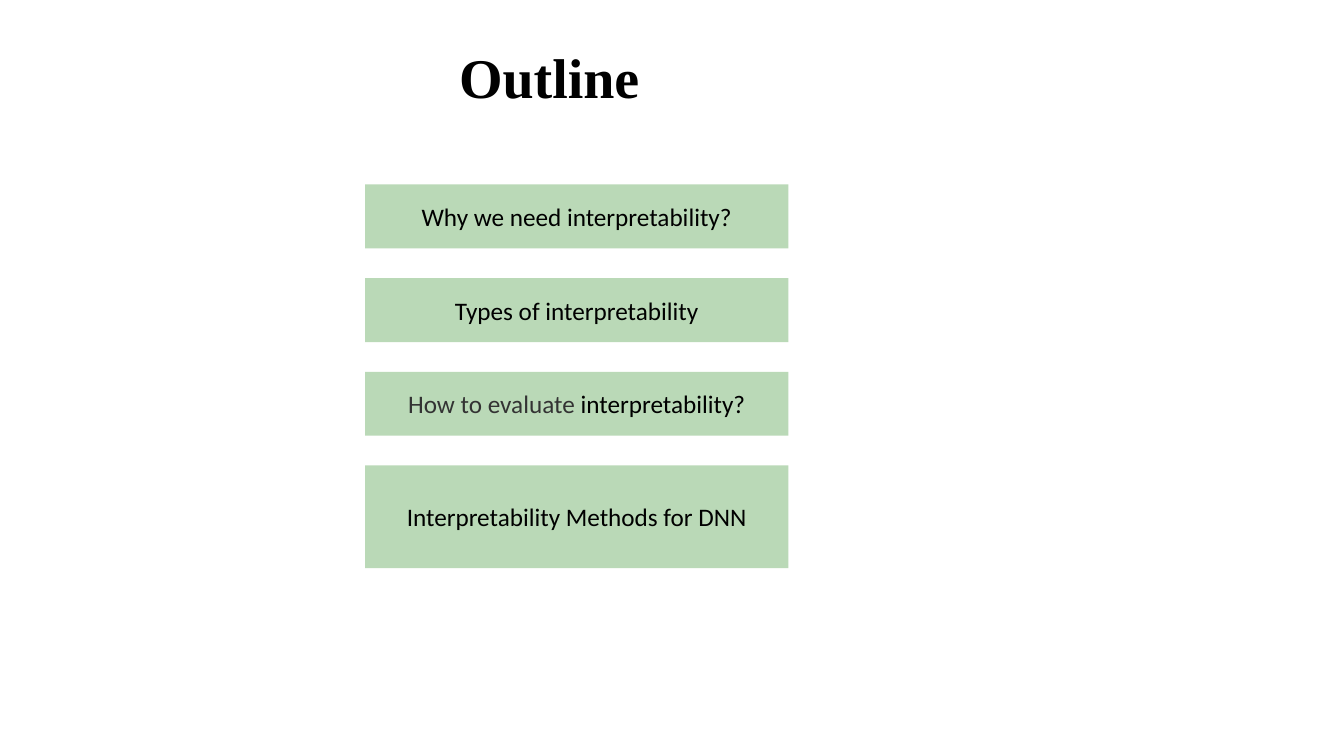
"""Build the outline slide with its stacked topic boxes."""
from pptx import Presentation
from pptx.dml.color import RGBColor
from pptx.enum.shapes import MSO_SHAPE
from pptx.enum.text import MSO_ANCHOR, PP_ALIGN
from pptx.util import Cm, Pt

RECTANGLE = MSO_SHAPE.RECTANGLE
MIDDLE = MSO_ANCHOR.MIDDLE
CENTER = PP_ALIGN.CENTER

BLACK, GREY, GREEN = "000000", "333333", "BAD9B7"
HEADING = [("Outline", BLACK)]
TOPICS = [
    (1.61, [("Why we need interpretability?", BLACK)]),
    (1.61, [("Types of interpretability", BLACK)]),
    (1.61, [("How to evaluate ", GREY), ("interpretability?", BLACK)]),
    (2.59, [("Interpretability Methods for DNN", BLACK)]),
]
TOPIC_LEFT, TOPIC_TOP, TOPIC_WIDTH, TOPIC_GAP = 9.2, 4.65, 10.67, 0.75


def color(code):
    return RGBColor.from_string(code)


def write(holder, runs, font, size, bold=False):
    frame = holder.text_frame
    frame.word_wrap = True
    frame.vertical_anchor = MIDDLE
    line = frame.paragraphs[0]
    line.alignment = CENTER
    for words, code in runs:
        run = line.add_run()
        run.text = words
        run.font.name = font
        run.font.size = Pt(size)
        run.font.bold = bold
        run.font.color.rgb = color(code)


def main():
    deck = Presentation()
    deck.slide_width, deck.slide_height = Cm(33.87), Cm(19.05)
    slide = deck.slides.add_slide(deck.slide_layouts[6])

    top = TOPIC_TOP
    for height, runs in TOPICS:
        topic = slide.shapes.add_shape(
            RECTANGLE, Cm(TOPIC_LEFT), Cm(top), Cm(TOPIC_WIDTH), Cm(height))
        topic.shadow.inherit = False
        topic.fill.solid()
        topic.fill.fore_color.rgb = color(GREEN)
        topic.line.fill.background()
        write(topic, runs, "Calibri", 18)
        top += height + TOPIC_GAP

    heading = slide.shapes.add_textbox(Cm(2.41), Cm(0.33), Cm(22.86), Cm(3.18))
    write(heading, HEADING, "Times New Roman", 40, bold=True)

    deck.save("out.pptx")


if __name__ == "__main__":
    main()
